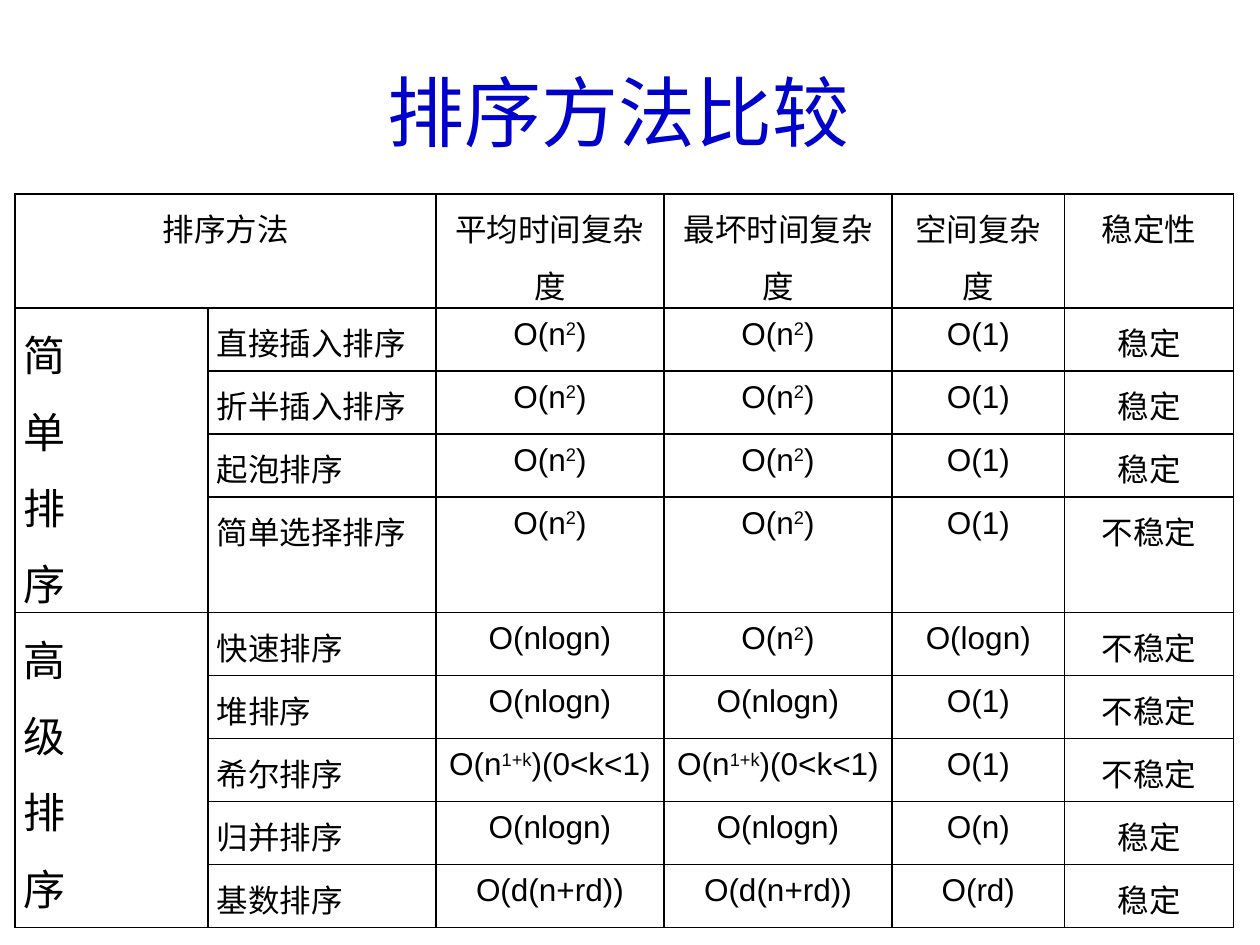
import pptx
import pptx.util
import pptx.dml.color
import pptx.enum.text
import pptx.oxml
import pptx.oxml.ns
from dataclasses import dataclass

Inches, Pt = pptx.util.Inches, pptx.util.Pt
ALIGN = pptx.enum.text.PP_ALIGN
ANCHOR = pptx.enum.text.MSO_ANCHOR


@dataclass
class Theme:
    latin: str = "Arial"
    chinese: str = "Noto Sans CJK SC"
    title_color: str = "0000CC"
    text_color: str = "000000"
    title_size: int = 44
    group_size: int = 24
    body_size: int = 18
    border_width: int = 1
    line_spacing: float = 1.25


theme = Theme()

TITLE = "排序方法比较"
HEADINGS = ["排序方法", "", "平均时间复杂度", "最坏时间复杂度", "空间复杂度", "稳定性"]
SQUARE, LOG, SHELL, RADIX = "O(n^2^)", "O(nlogn)", "O(n^1+k^)(0<k<1)", "O(d(n+rd))"
GROUPS = [
    ("简单排序", [
        ("直接插入排序", SQUARE, SQUARE, "O(1)", "稳定"),
        ("折半插入排序", SQUARE, SQUARE, "O(1)", "稳定"),
        ("起泡排序", SQUARE, SQUARE, "O(1)", "稳定"),
        ("简单选择排序", SQUARE, SQUARE, "O(1)", "不稳定"),
    ]),
    ("高级排序", [
        ("快速排序", LOG, SQUARE, "O(logn)", "不稳定"),
        ("堆排序", LOG, LOG, "O(1)", "不稳定"),
        ("希尔排序", SHELL, SHELL, "O(1)", "不稳定"),
        ("归并排序", LOG, LOG, "O(n)", "稳定"),
        ("基数排序", RADIX, RADIX, "O(rd)", "稳定"),
    ]),
]
COLUMN_WIDTHS = [1.53, 1.81, 1.81, 1.81, 1.37, 1.34]
ROW_HEIGHT = 0.5


def add_run(paragraph, text, size, color, latin, raised=False):
    run = paragraph.add_run()
    run.text = text
    run.font.size = Pt(size)
    run.font.name = latin
    run.font.color.rgb = pptx.dml.color.RGBColor.from_string(color)
    properties = run.font._element
    east_asian = pptx.oxml.parse_xml(
        f'<a:ea {pptx.oxml.ns.nsdecls("a")} typeface="{theme.chinese}"/>')
    properties.find(pptx.oxml.ns.qn("a:latin")).addnext(east_asian)
    if raised:
        properties.set("baseline", "30000")


def write_cell(cell, lines, align, size=theme.body_size):
    for index, line in enumerate(lines):
        frame = cell.text_frame
        paragraph = frame.add_paragraph() if index else frame.paragraphs[0]
        paragraph.alignment = align
        paragraph.line_spacing = theme.line_spacing
        for part, text in enumerate(line.split("^")):
            add_run(paragraph, text, size, theme.text_color, theme.latin, part % 2 == 1)


def style_cell(cell):
    cell.margin_left = cell.margin_right = Inches(0.07)
    cell.margin_top = cell.margin_bottom = 0
    cell.vertical_anchor = ANCHOR.TOP
    properties = cell._tc.get_or_add_tcPr()
    for side in "LRTB":
        properties.append(pptx.oxml.parse_xml(
            f'<a:ln{side} {pptx.oxml.ns.nsdecls("a")} w="{Pt(theme.border_width)}">'
            f'<a:solidFill><a:srgbClr val="{theme.text_color}"/></a:solidFill></a:ln{side}>'))
    cell.fill.background()


deck = pptx.Presentation()
deck.slide_width, deck.slide_height = Inches(10), Inches(7.5)
slide = deck.slides.add_slide(deck.slide_layouts[5])

heading = slide.shapes.title
heading.left, heading.top = Inches(0.41), Inches(0.44)
heading.width, heading.height = Inches(9), Inches(0.87)
heading.text_frame.vertical_anchor = ANCHOR.MIDDLE
heading_line = heading.text_frame.paragraphs[0]
heading_line.alignment = ALIGN.CENTER
add_run(heading_line, TITLE, theme.title_size, theme.title_color, theme.chinese)

row_count = 1 + sum(len(methods) for _, methods in GROUPS)
comparison_frame = slide.shapes.add_table(
    row_count, len(COLUMN_WIDTHS), Inches(0.12), Inches(1.54), Inches(9.68), Inches(5.23))
comparison = comparison_frame.table
comparison.first_row = comparison.horz_banding = False
for column, width in zip(comparison.columns, COLUMN_WIDTHS):
    column.width = Inches(width)
for row in comparison.rows:
    row.height = Inches(ROW_HEIGHT)
comparison_frame.height = Inches(5.23)
for cell in comparison.iter_cells():
    style_cell(cell)

comparison.cell(0, 0).merge(comparison.cell(0, 1))
for column, label in enumerate(HEADINGS):
    if label:
        write_cell(comparison.cell(0, column), [label], ALIGN.CENTER)

first = 1
for group, methods in GROUPS:
    group_cell = comparison.cell(first, 0)
    group_cell.merge(comparison.cell(first + len(methods) - 1, 0))
    write_cell(group_cell, list(group), ALIGN.JUSTIFY, theme.group_size)
    for row, method in enumerate(methods, first):
        for column, value in enumerate(method, 1):
            align = ALIGN.JUSTIFY if column == 1 else ALIGN.CENTER
            write_cell(comparison.cell(row, column), [value], align)
    first += len(methods)

deck.save("out.pptx")
